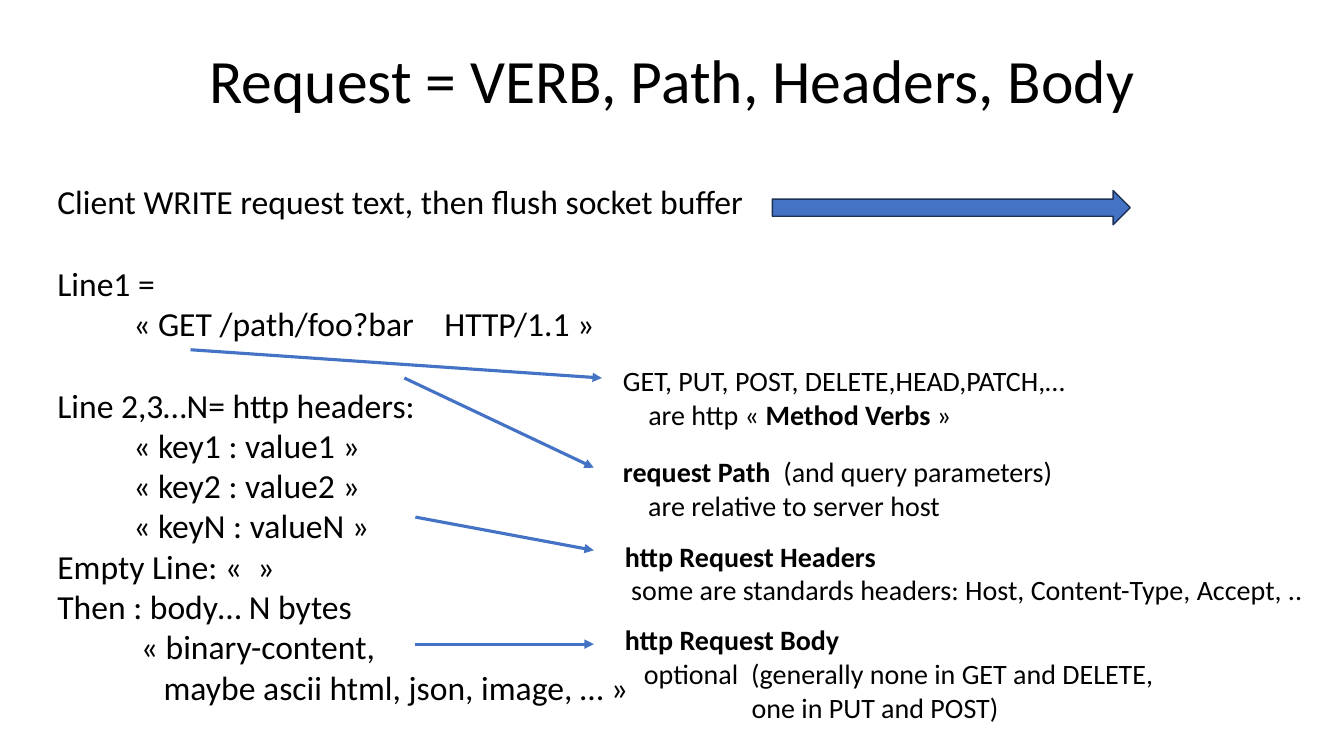
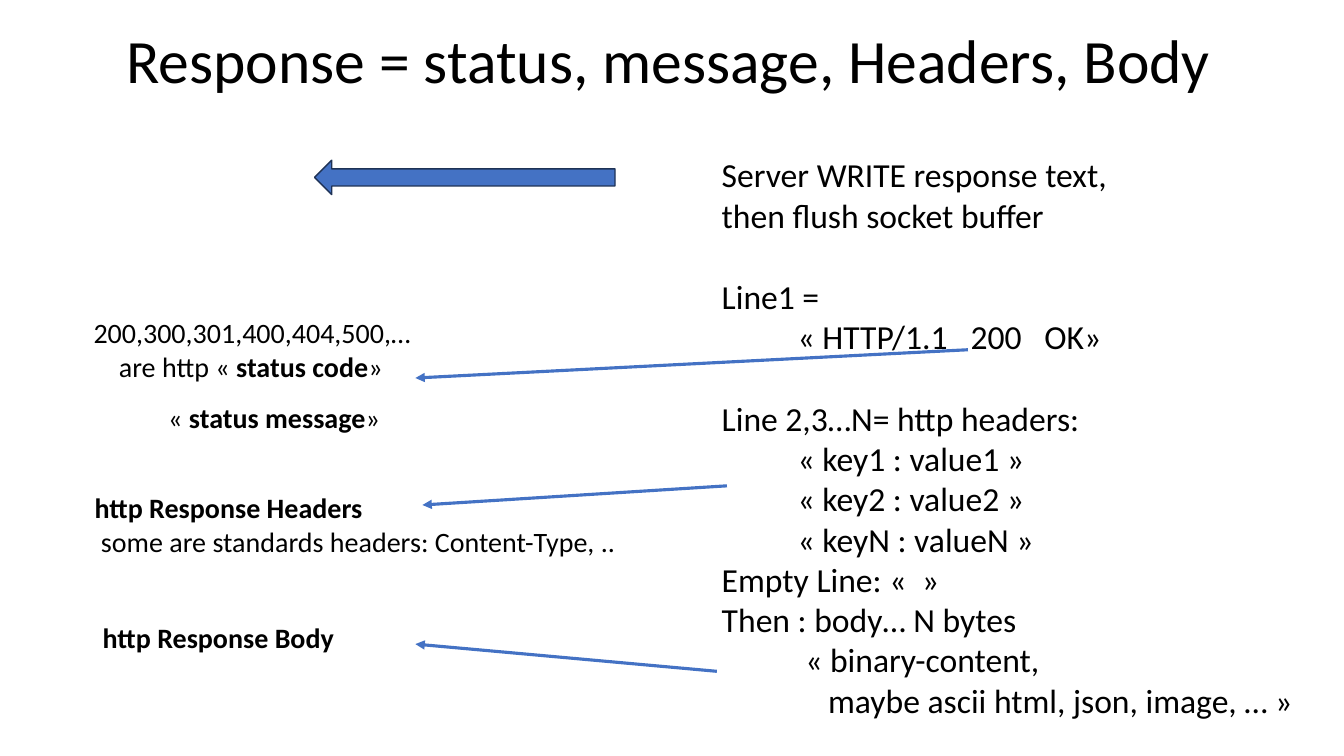
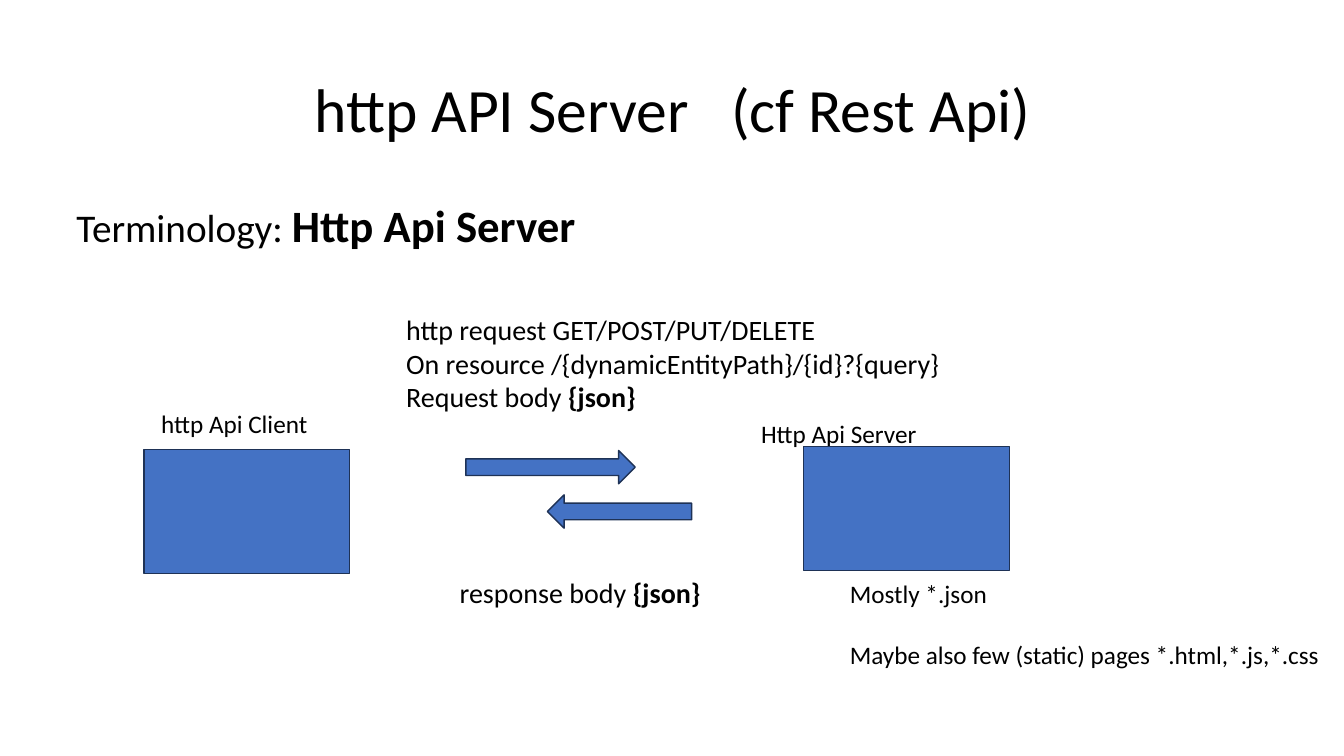
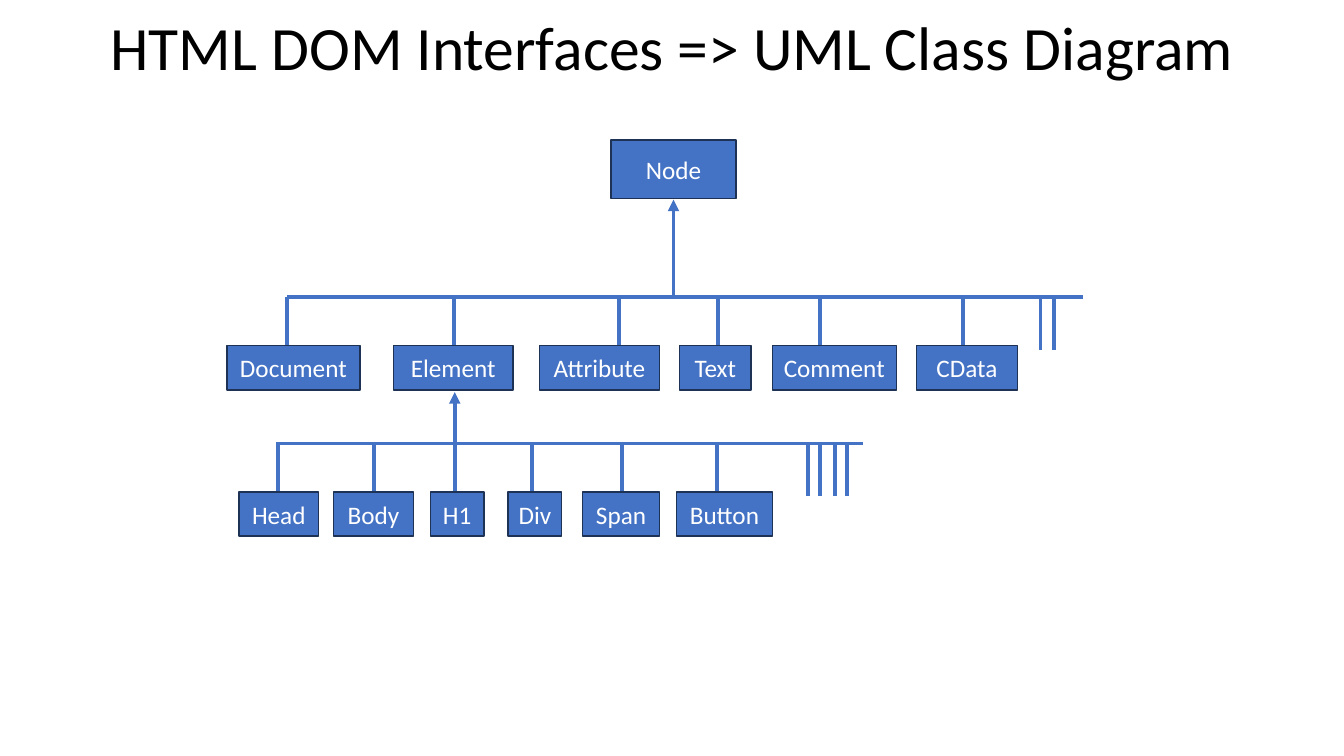
from lxml import etree
from pptx import Presentation
from pptx.dml.color import RGBColor
from pptx.enum.shapes import MSO_CONNECTOR as CONN, MSO_SHAPE as SHAPE
from pptx.enum.text import MSO_ANCHOR as ANCHOR, MSO_AUTO_SIZE as FIT, PP_ALIGN as ALIGN
from pptx.oxml.ns import qn
from pptx.util import Inches, Pt

FONT = "Calibri"
BLACK, WHITE, BLUE, NAVY = "000000", "FFFFFF", "4472C4", "1E3256"
SPACE_EM = 0.226  # width of a space, in ems
LINE_EM = 1.22  # height of a line, in ems


def color(hex_code):
    return RGBColor.from_string(hex_code)


def inches(*lengths):
    return [Inches(n) for n in lengths]


# Text: a line is a list of runs; a number stands for a gap that many spaces wide
def bold(text, **fmt):
    return text, {"bold": True, **fmt}


def line(*runs, indent=0, skip=0):
    """Indent counts spaces, skip counts the empty lines above."""
    return runs, indent, skip


def write(tf, lines, size=18, fill=BLACK, align=ALIGN.LEFT, spacing=None):
    for i, (runs, indent, skip) in enumerate(lines):
        p = tf.paragraphs[0] if i == 0 else tf.add_paragraph()
        p.alignment = align
        if spacing:
            p.line_spacing = spacing
        if skip:
            p.space_before = Pt(round(skip * size * LINE_EM, 1))
        if indent:
            p._p.get_or_add_pPr().set("marL", str(Pt(indent * size * SPACE_EM)))
        for item in runs:
            r = p.add_run()
            text, fmt = item if isinstance(item, tuple) else (item, {})
            if isinstance(text, int):
                extra = (text - 1) * size * SPACE_EM
                r._r.get_or_add_rPr().set("spc", str(round(extra * 100)))
                text = " "
            r.text = text
            r.font.name = FONT
            r.font.size = Pt(fmt.get("size", size))
            r.font.bold = fmt.get("bold", False)
            r.font.color.rgb = color(fill)


def text_box(slide, box, *lines, **fmt):
    tf = slide.shapes.add_textbox(*inches(*box)).text_frame
    tf.word_wrap = False
    tf.auto_size = FIT.SHAPE_TO_FIT_TEXT
    write(tf, lines, **fmt)


# Shapes and lines
def block(slide, kind, box, label=None):
    sp = slide.shapes.add_shape(kind, *inches(*box))
    sp.shadow.inherit = False
    sp.fill.solid()
    sp.fill.fore_color.rgb = color(BLUE)
    sp.line.color.rgb = color(NAVY)
    sp.line.width = Pt(1)
    if label:
        tf = sp.text_frame
        tf.word_wrap = False
        tf.vertical_anchor = ANCHOR.MIDDLE
        write(tf, [line(label)], fill=WHITE, align=ALIGN.CENTER)


def connect(slide, start, end, width=2.25, arrow=True):
    cx = slide.shapes.add_connector(CONN.STRAIGHT, *inches(*start, *end))
    cx.line.color.rgb = color(BLUE)
    cx.line.width = Pt(width)
    if arrow:
        etree.SubElement(cx.line._get_or_add_ln(), qn("a:tailEnd"), type="triangle")
    etree.SubElement(cx._element.spPr, qn("a:effectLst"))


def titled_slide(prs, box, *runs):
    slide = prs.slides.add_slide(prs.slide_layouts[5])
    title = slide.shapes.title
    title.left, title.top, title.width, title.height = inches(*box)
    tf = title.text_frame
    tf.word_wrap = True
    tf.auto_size = FIT.NONE
    tf.vertical_anchor = ANCHOR.MIDDLE
    write(tf, [line(*runs)], size=44, align=ALIGN.CENTER, spacing=0.9)
    return slide


# Request and response slides: a message, its notes, and arrows between them
def message(slide, box, opening, first_line):
    text_box(
        slide, box,
        *[line(text) for text in opening],
        line("Line1 =", skip=1),
        line(*first_line, indent=10),
        line("Line 2,3…N= http headers:", skip=1),
        *[line(f"« key{n} : value{n} »", indent=10) for n in "12N"],
        line("Empty Line: «", 2, "»"),
        line("Then : body… N bytes"),
        line("« binary-content,", indent=11),
        line("maybe ascii html, json, image, … »", indent=14),
        size=24)


def annotate(slide, notes, arrows):
    for box, lines in notes:
        text_box(slide, box, *lines, size=20)
    for start, end in arrows:
        connect(slide, start, end)


def request_slide(prs):
    slide = titled_slide(prs, (0.92, 0.4, 11.5, 0.86), "Request = VERB, Path, Headers, Body")
    block(slide, SHAPE.RIGHT_ARROW, (7.66, 1.89, 3.55, 0.34))
    message(slide, (0.47, 1.75, 7.08, 5.35),
            ["Client WRITE request text, then flush socket buffer"],
            ["« GET /path/foo?bar", 4, "HTTP/1.1 »"])
    annotate(slide, [
        ((6.08, 3.56, 4.75, 0.77), [
            line("GET, PUT, POST, DELETE,HEAD,PATCH,…"),
            line("are http « ", bold("Method Verbs"), " »", indent=4)]),
        ((6.08, 4.46, 4.54, 0.77), [
            line(bold("request Path"), 2, "(and query parameters)"),
            line("are relative to server host", indent=4)]),
        ((6.1, 5.3, 7.06, 0.77), [
            line(bold("http Request Headers")),
            line("some are standards headers: Host, Content-Type, Accept, ..", indent=1)]),
        ((6.1, 6.13, 5.55, 1.11), [
            line(bold("http Request Body")),
            line("optional", 2, "(generally none in GET and DELETE,", indent=3),
            line("one in PUT and POST)", indent=20)]),
    ], [
        ((1.89, 3.47), (5.97, 3.75)),
        ((4.01, 3.75), (5.89, 4.64)),
        ((4.12, 5.13), (5.89, 5.46)),
        ((4.12, 6.39), (5.89, 6.39)),
    ])


def response_slide(prs):
    slide = titled_slide(prs, (0.15, 0, 12.97, 1.26), "Response = status, message, Headers, Body")
    block(slide, SHAPE.LEFT_ARROW, (3.12, 1.59, 2.98, 0.34))
    message(slide, (7.06, 1.48, 5.98, 5.76),
            ["Server WRITE response text,", "then flush socket buffer"],
            ["« HTTP/1.1", 3, "200", 3, "OK»"])
    annotate(slide, [
        ((0.83, 3.08, 3.5, 0.77), [
            line("200,300,301,400,404,500,…"),
            line("are http « ", bold("status code"), "»", indent=4)]),
        ((1.57, 3.92, 2.32, 0.44), [line("« ", bold("status message"), "»")]),
        ((0.84, 4.82, 5.49, 0.77), [
            line(bold("http Response Headers")),
            line("some are standards headers: Content-Type, ..", indent=1)]),
        ((0.92, 6.11, 2.52, 0.44), [line(bold("http Response Body"))]),
    ], [
        ((9.6, 3.47), (4.12, 3.75)),
        ((7.21, 4.82), (4.19, 5.01)),
        ((7.11, 6.66), (4.12, 6.39)),
    ])


def api_slide(prs):
    slide = titled_slide(prs, (0.92, 0.39, 11.5, 1.45), "http API Server", 3, "(cf Rest Api)")
    text_box(slide, (0.66, 1.91, 5.21, 0.64),
             line("Terminology: ", bold("Http Api Server", size=32)), size=28)

    # Exchange between client and server
    text_box(slide, (3.93, 3.05, 5.73, 1.11),
             line("http request GET/POST/PUT/DELETE"),
             line("On resource /{dynamicEntityPath}/{id}?{query}"),
             line("Request body ", bold("{json}")), size=20)
    block(slide, SHAPE.RIGHT_ARROW, (4.62, 4.47, 1.68, 0.33))
    block(slide, SHAPE.LEFT_ARROW, (5.43, 4.91, 1.43, 0.33))
    text_box(slide, (4.46, 5.66, 2.61, 0.44), line("response body ", bold("{json}")), size=20)

    # Client and server
    text_box(slide, (1.5, 4, 1.68, 0.4), line("http Api Client"))
    text_box(slide, (7.45, 4.1, 1.77, 0.4), line("Http Api Server"))
    for left, top in ((1.43, 4.46), (7.97, 4.43)):
        block(slide, SHAPE.RECTANGLE, (left, top, 2.04, 1.23))
    text_box(slide, (8.33, 5.69, 4.91, 1.31),
             line("Mostly *.json"),
             line("Maybe also few (static) pages *.html,*.js,*.css", skip=1))


def subclasses(slide, bus, parent, children, extra_drops):
    """Bus is left, right, y; parent is the arrow's x and top; children hang below."""
    left, right, y = bus
    x, top = parent
    connect(slide, (left, y), (right, y), width=2.75, arrow=False)
    connect(slide, (x, y), (x, top), width=2.75)
    for drop in [child[3] for child in children] + extra_drops:
        connect(slide, (drop, y + 0.52), (drop, y), width=2.75, arrow=False)
    for name, box_left, width, _ in children:
        block(slide, SHAPE.RECTANGLE, (box_left, y + 0.48, width, 0.44), name)


def dom_slide(prs):
    slide = titled_slide(prs, (0.92, 0, 11.5, 1.01), "HTML DOM Interfaces => UML Class Diagram")
    block(slide, SHAPE.RECTANGLE, (6.06, 1.39, 1.24, 0.58), "Node")
    # Each child: name, left, width, x of its line
    subclasses(slide, (2.85, 10.74, 2.95), (6.68, 1.98), [
        ("Document", 2.25, 1.32, 2.85),
        ("Element", 3.9, 1.19, 4.5),
        ("Attribute", 5.35, 1.19, 6.14),
        ("Text", 6.74, 0.71, 7.12),
        ("Comment", 7.66, 1.23, 8.13),
        ("CData", 9.09, 1, 9.55),
    ], [10.32, 10.45])
    subclasses(slide, (2.74, 8.56, 4.4), (4.51, 3.89), [
        ("Head", 2.37, 0.79, 2.76),
        ("Body", 3.31, 0.79, 3.71),
        ("H1", 4.27, 0.53, 4.51),
        ("Div", 5.04, 0.53, 5.28),
        ("Span", 5.78, 0.76, 6.17),
        ("Button", 6.71, 0.95, 7.11),
    ], [8.01, 8.13, 8.28, 8.4])


def main():
    prs = Presentation()
    prs.slide_width, prs.slide_height = inches(13.33, 7.5)
    for build in (request_slide, response_slide, api_slide, dom_slide):
        build(prs)
    prs.save("out.pptx")


if __name__ == "__main__":
    main()
